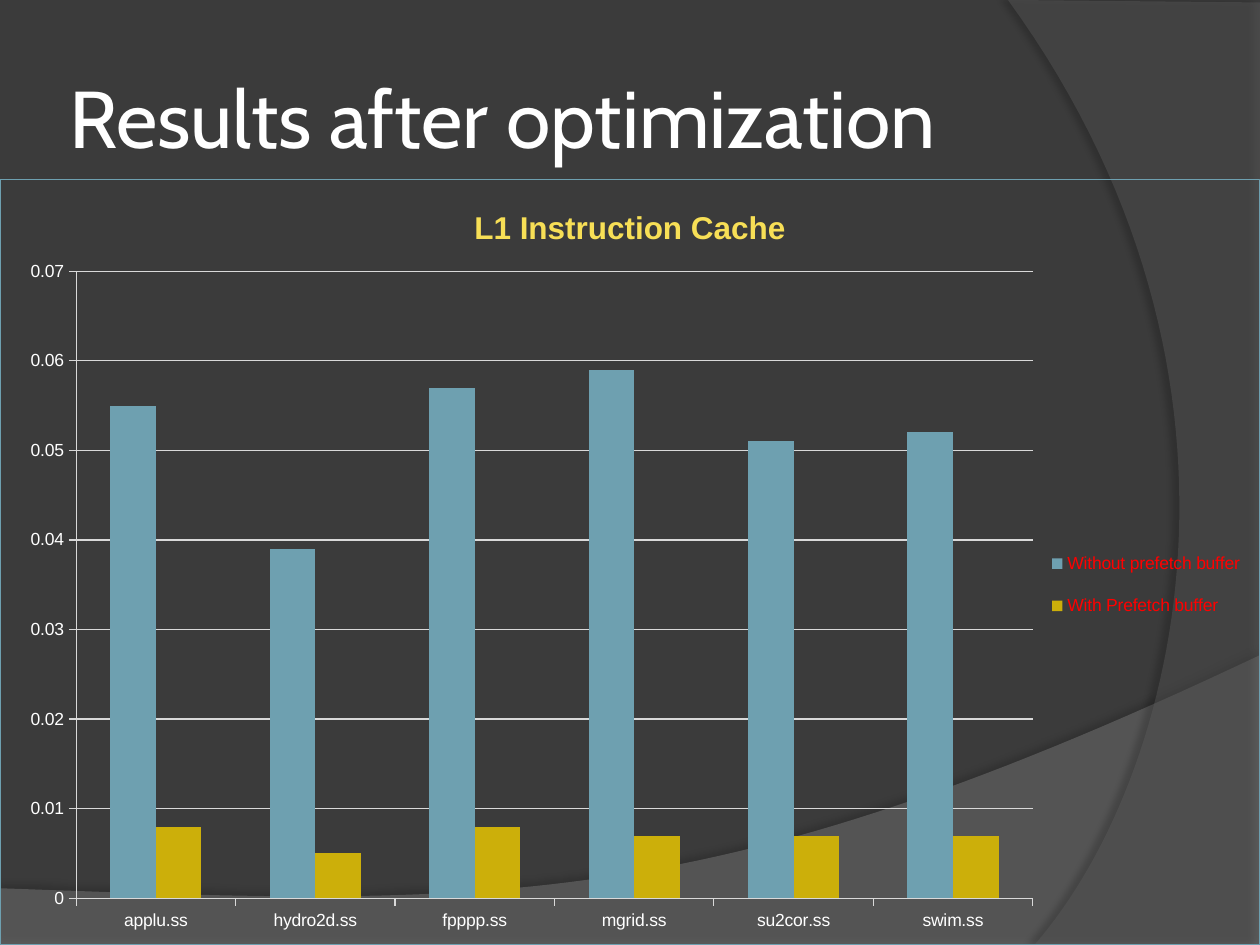
from lxml import etree
from pptx import Presentation
from pptx.chart.data import CategoryChartData
from pptx.dml.color import RGBColor
from pptx.enum.chart import XL_CHART_TYPE as Kind, XL_LEGEND_POSITION as Side, XL_TICK_MARK as Tick
from pptx.enum.text import MSO_ANCHOR as Anchor
from pptx.oxml import parse_xml
from pptx.oxml.ns import nsdecls, qn
from pptx.util import Inches, Pt

TITLE = "Results after optimization"
HEAD = "L1 Instruction Cache"
CATS = ["applu.ss", "hydro2d.ss", "fpppp.ss", "mgrid.ss", "su2cor.ss", "swim.ss"]
SERIES = [
    ("Without prefetch buffer", "6EA0B0", [0.055, 0.039, 0.057, 0.059, 0.051, 0.052]),
    ("With Prefetch buffer", "CCAF0A", [0.008, 0.005, 0.008, 0.007, 0.007, 0.007]),
]
# Each wave: corner points, Bezier curve, fill, opacity, shadow (opacity, distance, angle)
WAVES = [
    ([(0, 7.05), (0, 7.5), (10, 7.5)], [(10, 5.2), (5.59, 7.29), (3.91, 7.19), (0, 7.05)],
     "7F7F7F", 45, (35, 3.5, 270)),
    ([(10, 0.02), (10, 7.5)], [(8.21, 7.5), (9.35, 6.19), (10.18, 3), (8, 0)],
     "5E5E5E", 40, (45, 4, 180)),
]
STEPS = 60
WHITE, GRID = "FFFFFF", "D9D9D9"


def rgb(code):
    """Turn a hex string into a colour."""
    return RGBColor.from_string(code)


def paint(fill, code):
    """Make a fill solid."""
    fill.solid()
    fill.fore_color.rgb = rgb(code)


def stroke(line, code, width=0.75):
    """Set the colour and width of a line."""
    line.color.rgb = rgb(code)
    line.width = Pt(width)


def style(font, size, code, name="Arial", bold=False):
    """Set the look of a font."""
    font.size, font.name, font.bold = Pt(size), name, bold
    font.color.rgb = rgb(code)


def bezier(ends):
    """Sample points along a cubic curve."""
    for i in range(STEPS + 1):
        t = i / STEPS
        parts = ((1 - t) ** 3, 3 * t * (1 - t) ** 2, 3 * t * t * (1 - t), t ** 3)
        yield tuple(sum(w * p[k] for w, p in zip(parts, ends)) for k in (0, 1))


def add_wave(slide, corners, curve, code, alpha, shadow):
    """Draw a translucent curved panel with a soft shadow."""
    dots = [(Inches(x), Inches(y)) for x, y in corners + list(bezier(curve))]
    pen = slide.shapes.build_freeform(*dots[0])
    pen.add_line_segments(dots[1:], close=True)
    wave = pen.convert_to_shape()
    paint(wave.fill, code)
    wave.line.fill.background()
    tint = wave.fill._xPr.find(qn("a:solidFill"))[0]
    etree.SubElement(tint, qn("a:alpha")).set("val", str(alpha * 1000))
    dark, dist, angle = shadow
    wave._element.spPr.append(parse_xml(
        f'<a:effectLst {nsdecls("a")}><a:outerShdw blurRad="{Pt(4)}" dist="{Pt(dist)}" '
        f'dir="{angle * 60000}" algn="ctr" rotWithShape="0"><a:srgbClr val="000000">'
        f'<a:alpha val="{dark * 1000}"/></a:srgbClr></a:outerShdw></a:effectLst>'))


def add_title(slide):
    """Place the slide title."""
    box = slide.shapes.add_textbox(Inches(0.5), Inches(0.3), Inches(8.17), Inches(1.25))
    frame = box.text_frame
    frame.word_wrap, frame.vertical_anchor = True, Anchor.MIDDLE
    frame.margin_left = frame.margin_right = Inches(0.05)
    frame.text = TITLE
    style(frame.paragraphs[0].runs[0].font, 46, WHITE, "Cabin")


def layout(x, y, w, h, inner=False):
    """Give a manual chart layout in fractions of the chart."""
    target = '<c:layoutTarget val="inner"/>' if inner else ""
    modes = "".join(f'<c:{k}Mode val="edge"/>' for k in "xy")
    sizes = "".join(f'<c:{k} val="{v}"/>' for k, v in zip("xywh", (x, y, w, h)))
    return parse_xml(f'<c:layout {nsdecls("c")}><c:manualLayout>{target}{modes}{sizes}'
                     '</c:manualLayout></c:layout>')


def set_layout(node, place, spot):
    """Replace the layout of a chart part."""
    for old in node.findall(qn("c:layout")):
        node.remove(old)
    node.insert(spot, place)


def add_bars(slide):
    """Place the clustered column chart."""
    data = CategoryChartData()
    data.categories = CATS
    for name, _, vals in SERIES:
        data.add_series(name, vals)
    chart = slide.shapes.add_chart(Kind.COLUMN_CLUSTERED, 0, Inches(1.42),
                                   Inches(10), Inches(6.08), data).chart
    style(chart.font, 10, "FF0000")
    chart.has_title = True
    frame = chart.chart_title.text_frame
    frame.text = HEAD
    style(frame.paragraphs[0].runs[0].font, 18, "F7DF56", bold=True)
    chart.chart_title.include_in_layout = False

    plot = chart.plots[0]
    plot.gap_width, plot.overlap, plot.vary_by_categories = 150, 0, False
    for bars, (_, code, _) in zip(plot.series, SERIES):
        paint(bars.format.fill, code)
        bars.invert_if_negative = False
    for axis in (chart.category_axis, chart.value_axis):
        style(axis.tick_labels.font, 10, WHITE)
        stroke(axis.format.line, GRID)
        axis.major_tick_mark, axis.minor_tick_mark = Tick.OUTSIDE, Tick.NONE
    axis = chart.value_axis
    axis.minimum_scale, axis.maximum_scale, axis.major_unit = 0, 0.07, 0.01
    axis.has_major_gridlines = True
    stroke(axis.major_gridlines.format.line, GRID)
    axis.tick_labels.number_format = "General"
    axis.tick_labels.number_format_is_linked = False

    chart.has_legend = True
    chart.legend.position = Side.RIGHT
    chart.legend.include_in_layout = False
    style(chart.legend.font, 10, "FF0000")
    root = chart._chartSpace
    set_layout(root.find(".//" + qn("c:plotArea")), layout(0.06, 0.12, 0.76, 0.82, True), 0)
    set_layout(root.find(".//" + qn("c:legend")), layout(0.83, 0.46, 0.16, 0.14), 1)
    root.find(qn("c:chart")).addnext(parse_xml(
        f'<c:spPr {nsdecls("c", "a")}><a:noFill/><a:ln w="{Pt(0.75)}"><a:solidFill>'
        '<a:srgbClr val="6EA0B0"/></a:solidFill></a:ln></c:spPr>'))


def main():
    """Build and save the slide."""
    deck = Presentation()
    deck.slide_width, deck.slide_height = Inches(10), Inches(7.5)
    slide = deck.slides.add_slide(deck.slide_layouts[6])
    paint(slide.background.fill, "3B3B3B")
    for wave in WAVES:
        add_wave(slide, *wave)
    add_title(slide)
    add_bars(slide)
    deck.save("out.pptx")


main()
